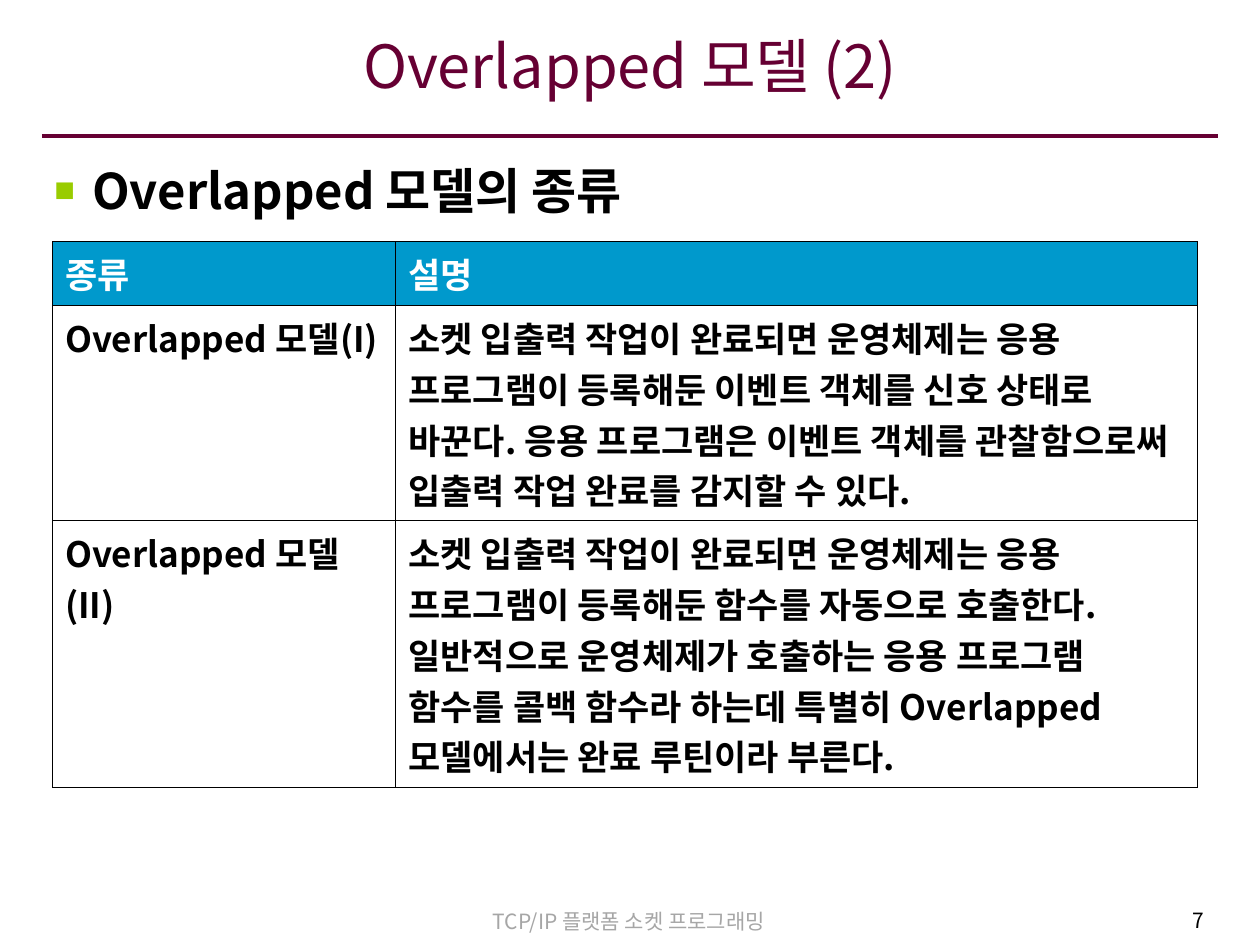
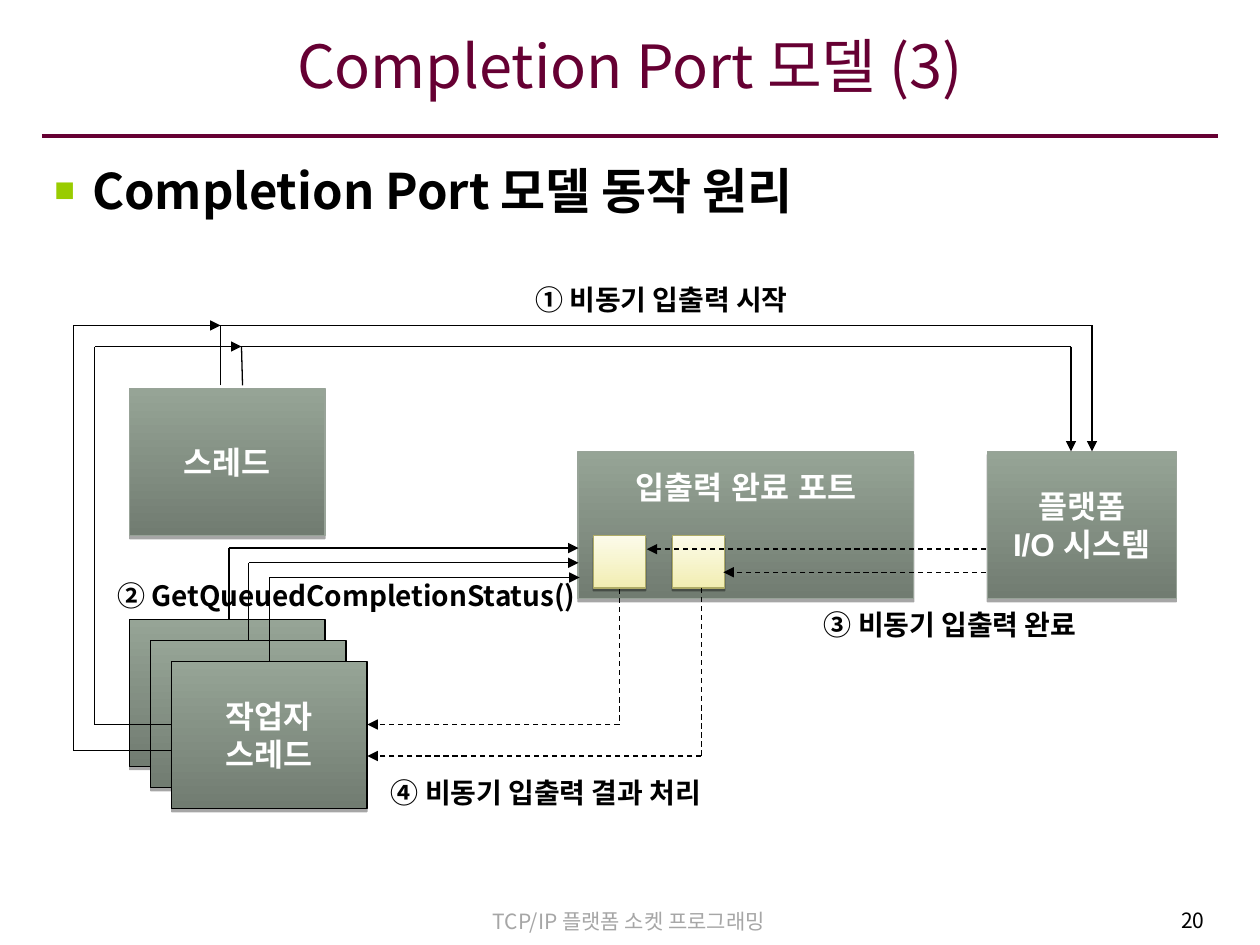
from dataclasses import dataclass
from itertools import pairwise

from lxml.etree import SubElement
from pptx import Presentation
from pptx.dml.color import RGBColor
from pptx.enum.dml import MSO_LINE_DASH_STYLE as Dash
from pptx.enum.shapes import MSO_CONNECTOR as Connector
from pptx.enum.shapes import MSO_SHAPE as Preset
from pptx.enum.text import MSO_ANCHOR as Anchor
from pptx.enum.text import PP_ALIGN as Align
from pptx.oxml.ns import qn
from pptx.util import Emu, Inches, Pt

COLUMNS, ROWS = 120, 90
WIDTH, HEIGHT = Inches(10), Inches(7.5)
SANS, LATIN = "Noto Sans CJK KR", "Arial"
COLORS = {
    "plum": "660033", "lime": "99CC00", "gray": "A6A6A6", "black": "000000",
    "white": "FFFFFF", "blue": "0099CC", "sage_dark": "717C71",
    "sage_light": "96A496", "sage_edge": "98A398", "cream_dark": "F2EEB2",
    "cream_light": "FCFBEA", "cream_edge": "AFAC67",
}


@dataclass(frozen=True)
class Area:
    column: float
    row: float
    columns: float
    rows: float

    def lengths(self) -> tuple[Emu, Emu, Emu, Emu]:
        return across(self.column), down(self.row), across(self.columns), down(self.rows)


@dataclass(frozen=True)
class TextStyle:
    size: float
    color: str = "black"
    bold: bool = False
    font: str = SANS
    align: Align = Align.LEFT


@dataclass(frozen=True)
class BoxStyle:
    bottom: str
    top: str
    edge: str
    shadow_percent: int
    shadow_distance: float


@dataclass(frozen=True)
class Box:
    area: Area
    style: BoxStyle
    lines: tuple[str, ...] = ()
    anchor: Anchor = Anchor.MIDDLE
    top_margin: float = 0.05


@dataclass(frozen=True)
class Label:
    area: Area
    text: str
    bottom_margin: float = 0.05


@dataclass(frozen=True)
class Route:
    points: tuple[tuple[float, float], ...]
    dashed: bool = False


TITLE = TextStyle(34, "plum", align=Align.CENTER)
HEADING = TextStyle(28, bold=True)
FOOTER = TextStyle(12, "gray", align=Align.CENTER)
NUMBER = TextStyle(12, align=Align.RIGHT)
HEADER_CELL = TextStyle(20, "white", True)
BODY_CELL = TextStyle(20, bold=True)
BOX_TEXT = TextStyle(18, "white", True, LATIN, Align.CENTER)
LABEL_TEXT = TextStyle(16, bold=True, align=Align.CENTER)

SAGE = BoxStyle("sage_dark", "sage_light", "sage_edge", 35, 1.8)
WORKER = BoxStyle("sage_dark", "sage_light", "black", 35, 1.8)
CREAM = BoxStyle("cream_dark", "cream_light", "cream_edge", 38, 1.6)

MODEL_TABLE = Area(5, 23, 109, 52)
MODEL_COLUMNS = (32.7, 76.3)
MODEL_ROWS = (6.1, 20.5, 25.4)
MODELS = (
    ("종류", "설명"),
    ("Overlapped 모델(I)",
     "소켓 입출력 작업이 완료되면 운영체제는 응용 프로그램이 등록해둔 이벤트 객체를 "
     "신호 상태로 바꾼다. 응용 프로그램은 이벤트 객체를 관찰함으로써 입출력 작업 "
     "완료를 감지할 수 있다."),
    ("Overlapped 모델(II)",
     "소켓 입출력 작업이 완료되면 운영체제는 응용 프로그램이 등록해둔 함수를 자동으로 "
     "호출한다. 일반적으로 운영체제가 호출하는 응용 프로그램 함수를 콜백 함수라 하는데 "
     "특별히 Overlapped 모델에서는 완료 루틴이라 부른다."),
)

SYSTEM_BOXES = (
    Box(Area(12.35, 37, 18.6, 14), SAGE, ("스레드",)),
    Box(Area(55.04, 43, 32, 14), SAGE, ("입출력 완료 포트",), Anchor.TOP, 0.13),
    Box(Area(94.04, 43, 18, 14), SAGE, ("플랫폼", "I/O 시스템")),
    *(Box(Area(column, 51, 5, 5), CREAM) for column in (56.5, 64.04)),
)
WORKER_BOXES = tuple(
    Box(Area(12.35 + 2 * step, 59 + 2 * step, 18.6, 14), WORKER,
        ("작업자", "스레드") if step == 2 else ())
    for step in range(3)
)
START_AND_RESULT_ROUTES = (
    Route(((21, 36.7), (21, 31), (104, 31), (104, 43))),
    Route(((23.1, 36.7), (23, 33), (102, 33), (102, 43))),
    Route(((93.9, 52.3), (61.6, 52.3)), True),
    Route(((93.9, 54.5), (68.9, 54.5)), True),
    Route(((59, 56.1), (59, 69), (35, 69)), True),
    Route(((66.8, 56), (66.8, 72), (35, 72)), True),
)
WORKER_ROUTES = (
    Route(((25.7, 63), (25.7, 55), (55.2, 55))),
    Route(((23.7, 61), (23.7, 53.6), (55.1, 53.6))),
    Route(((21.8, 59), (21.8, 52.2), (55.1, 52.2))),
    Route(((16.3, 69), (9, 69), (9, 33), (23, 33))),
    Route(((16.3, 71.5), (7, 71.5), (7, 31), (21, 31))),
)
LABELS = (
    Label(Area(48, 26, 30, 5), "① 비동기 입출력 시작"),
    Label(Area(8, 55.4, 50, 3.1), "② GetQueuedCompletionStatus()", 0.09),
    Label(Area(75, 57, 31, 5), "③ 비동기 입출력 완료"),
    Label(Area(33, 74, 38, 3), "④ 비동기 입출력 결과 처리"),
)


def across(columns: float) -> Emu:
    return Emu(round(WIDTH * columns / COLUMNS))


def down(rows: float) -> Emu:
    return Emu(round(HEIGHT * rows / ROWS))


def color(name: str) -> RGBColor:
    return RGBColor.from_string(COLORS[name])


def write(frame, lines: tuple[str, ...], style: TextStyle) -> None:
    for index, line in enumerate(lines):
        paragraph = frame.add_paragraph() if index else frame.paragraphs[0]
        paragraph.alignment = style.align
        run = paragraph.add_run()
        run.text = line
        run.font.size = Pt(style.size)
        run.font.bold = style.bold
        run.font.name = style.font
        run.font.color.rgb = color(style.color)
        run.font._element.set("kern", "0")
        SubElement(run.font._element, qn("a:ea"), typeface=style.font)


def add_text(slide, area: Area, text: str, style: TextStyle, wrap: bool = True,
             anchor: Anchor = Anchor.TOP):
    frame = slide.shapes.add_textbox(*area.lengths()).text_frame
    frame.word_wrap = wrap
    frame.vertical_anchor = anchor
    write(frame, (text,), style)
    return frame


def add_line(slide, start: tuple[float, float], end: tuple[float, float],
             color_name: str = "black", width: float = 0.75,
             dashed: bool = False, arrow: bool = False) -> None:
    connector = slide.shapes.add_connector(
        Connector.STRAIGHT, across(start[0]), down(start[1]), across(end[0]), down(end[1]))
    connector.line.color.rgb = color(color_name)
    connector.line.width = Pt(width)
    if dashed:
        connector.line.dash_style = Dash.DASH
    if arrow:
        SubElement(connector.line._get_or_add_ln(), qn("a:tailEnd"), type="triangle")
    SubElement(connector._element.spPr, qn("a:effectLst"))


def add_route(slide, route: Route) -> None:
    for start, end in pairwise(route.points):
        add_line(slide, start, end, dashed=route.dashed, arrow=end == route.points[-1])


def add_box(slide, box: Box) -> None:
    shape = slide.shapes.add_shape(Preset.RECTANGLE, *box.area.lengths())
    style = box.style
    shape.fill.gradient()
    shape.fill.gradient_angle = 90
    for stop, name in zip(shape.fill.gradient_stops, (style.bottom, style.top)):
        stop.color.rgb = color(name)
    shape.line.color.rgb = color(style.edge)
    shape.line.width = Pt(0.75)
    shape.shadow.inherit = False
    effects = shape._element.spPr.find(qn("a:effectLst"))
    shadow = SubElement(effects, qn("a:outerShdw"), blurRad="0",
                        dist=str(Pt(style.shadow_distance)), dir="5400000", rotWithShape="0")
    shade = SubElement(shadow, qn("a:srgbClr"), val=COLORS["black"])
    SubElement(shade, qn("a:alpha"), val=str(style.shadow_percent * 1000))
    frame = shape.text_frame
    frame.word_wrap = False
    frame.vertical_anchor = box.anchor
    frame.margin_top = Inches(box.top_margin)
    write(frame, box.lines, BOX_TEXT)


def add_label(slide, label: Label) -> None:
    frame = add_text(slide, label.area, label.text, LABEL_TEXT, False, Anchor.MIDDLE)
    frame.margin_bottom = Inches(label.bottom_margin)


def add_border(cell) -> None:
    properties = cell._tc.get_or_add_tcPr()
    for side in ("lnL", "lnR", "lnT", "lnB"):
        line = SubElement(properties, qn(f"a:{side}"), w=str(Pt(0.45)))
        fill = SubElement(line, qn("a:solidFill"))
        SubElement(fill, qn("a:srgbClr"), val=COLORS["black"])


def add_model_table(slide) -> None:
    table = slide.shapes.add_table(
        len(MODELS), len(MODEL_COLUMNS), *MODEL_TABLE.lengths()).table
    table.horz_banding = False
    table.first_row = False
    for column, columns in zip(table.columns, MODEL_COLUMNS):
        column.width = across(columns)
    for index, (row, rows, texts) in enumerate(zip(table.rows, MODEL_ROWS, MODELS)):
        row.height = down(rows)
        for cell, text in zip(row.cells, texts):
            add_border(cell)
            if index == 0:
                cell.fill.solid()
                cell.fill.fore_color.rgb = color("blue")
            else:
                cell.fill.background()
            write(cell.text_frame, (text,), BODY_CELL if index else HEADER_CELL)


def add_heading(slide, text: str) -> None:
    frame = add_text(slide, Area(4, 14.7, 112, 70.3), text, HEADING)
    paragraph = frame.paragraphs[0]
    paragraph.space_before = Pt(7)
    properties = paragraph._p.get_or_add_pPr()
    properties.set("marL", str(Inches(0.3)))
    properties.set("indent", str(-Inches(0.3)))
    bullet_color = SubElement(properties, qn("a:buClr"))
    SubElement(bullet_color, qn("a:srgbClr"), val=COLORS["lime"])
    SubElement(properties, qn("a:buSzPct"), val="70000")
    SubElement(properties, qn("a:buFont"), typeface=LATIN)
    SubElement(properties, qn("a:buChar"), char="■")


def add_page(presentation, title: str, heading: str, number: int):
    slide = presentation.slides.add_slide(presentation.slide_layouts[6])
    add_line(slide, (4, 12.95), (116, 12.95), "plum", 2.25)
    add_text(slide, Area(34.4, 85.9, 51, 3.6), "TCP/IP 플랫폼 소켓 프로그래밍", FOOTER)
    add_text(slide, Area(90.5, 85.8, 25.4, 4), str(number), NUMBER)
    frame = add_text(slide, Area(4, 1.75, 112, 10.2), title, TITLE, anchor=Anchor.MIDDLE)
    frame.margin_left = frame.margin_right = Inches(0.08)
    frame.margin_bottom = Inches(0.16)
    add_heading(slide, heading)
    return slide


def main() -> None:
    presentation = Presentation()
    presentation.slide_width, presentation.slide_height = WIDTH, HEIGHT
    overlapped = add_page(presentation, "Overlapped 모델 (2)", "Overlapped 모델의 종류", 7)
    add_model_table(overlapped)
    completion = add_page(
        presentation, "Completion Port 모델 (3)", "Completion Port 모델 동작 원리", 20)
    for boxes, routes in ((SYSTEM_BOXES, START_AND_RESULT_ROUTES),
                          (WORKER_BOXES, WORKER_ROUTES)):
        for box in boxes:
            add_box(completion, box)
        for route in routes:
            add_route(completion, route)
    for label in LABELS:
        add_label(completion, label)
    presentation.save("out.pptx")


if __name__ == "__main__":
    main()
